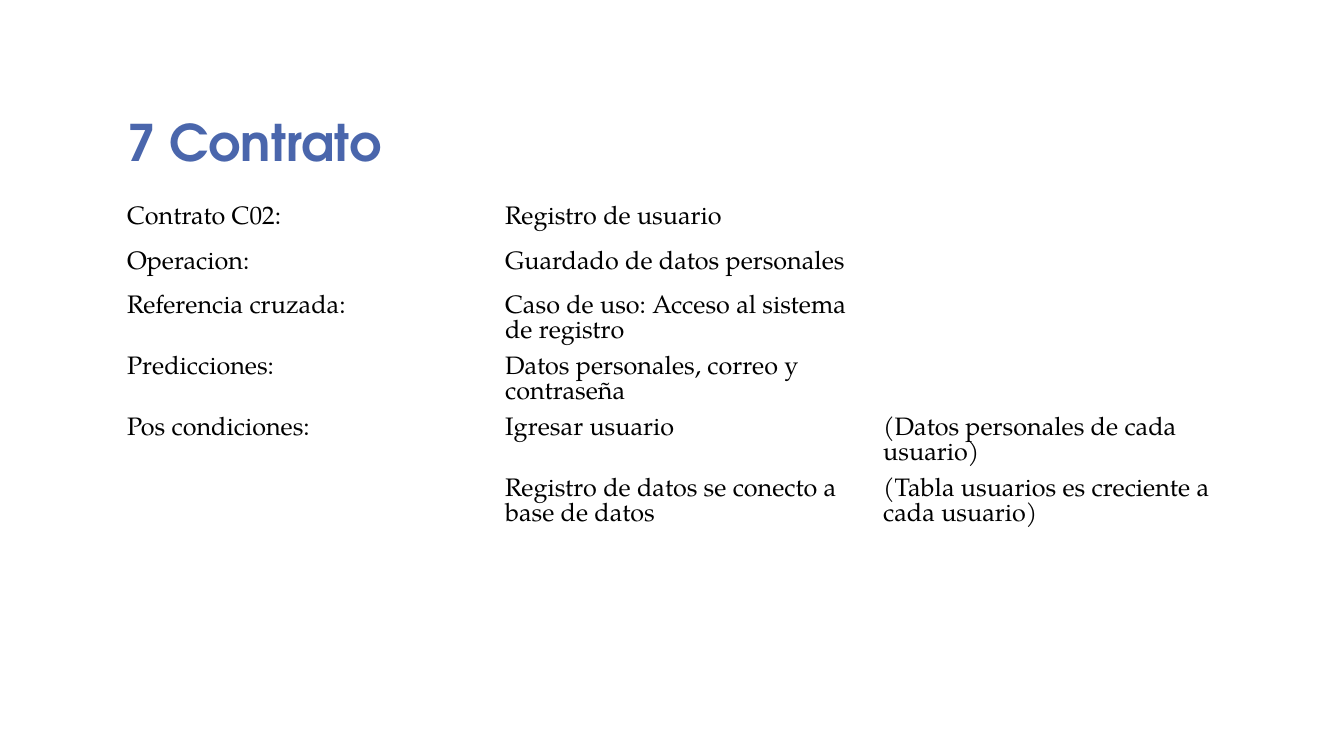
from pptx import Presentation
from pptx.dml.color import RGBColor
from pptx.enum.text import MSO_ANCHOR, PP_ALIGN
from pptx.util import Inches, Pt

TITLE = {"name": "TeX Gyre Adventor", "size": Pt(36), "bold": True}
BODY = {"name": "TeX Gyre Pagella", "size": Pt(18), "bold": False}
BLUE, BLACK, WHITE = "4A66AC", "000000", "FFFFFF"

TERMS = [
    ("Contrato C02:", "Registro de usuario", ""),
    ("Operacion:", "Guardado de datos personales", ""),
    ("Referencia cruzada:", "Caso de uso: Acceso al sistema de registro", ""),
    ("Predicciones:", "Datos personales, correo y contraseña", ""),
    ("Pos condiciones:", "Igresar usuario", "(Datos personales de cada usuario)"),
    ("", "Registro de datos se conecto a base de datos",
     "(Tabla usuarios es creciente a cada usuario)"),
]


def paint(target, color):
    """Set the colour of a font or a solid fill."""
    target.rgb = RGBColor.from_string(color)


class Page:
    """Hold the text style and the current slide."""

    def __init__(self, deck):
        """Add a title-only slide to the deck."""
        self.slide = deck.slides.add_slide(deck.slide_layouts[5])

    def style(self, para, form, color):
        """Apply the font format and colour to a paragraph."""
        for key, value in form.items():
            setattr(para.font, key, value)
        paint(para.font.color, color)
        para.alignment = PP_ALIGN.LEFT

    def title(self, text, left, top, width, height):
        """Place and format the title placeholder."""
        shape = self.slide.shapes.title
        box = {"left": left, "top": top, "width": width, "height": height}
        for key, value in box.items():
            setattr(shape, key, Inches(value))
        frame = shape.text_frame
        frame.text = text
        frame.vertical_anchor = MSO_ANCHOR.BOTTOM
        para = frame.paragraphs[0]
        para.line_spacing = 0.8
        self.style(para, TITLE, BLUE)

    def table(self, rows, left, top, width, heights):
        """Add a plain table with equal columns."""
        box = [Inches(v) for v in (left, top, width, sum(heights))]
        grid = self.slide.shapes.add_table(len(rows), len(rows[0]), *box).table
        grid.first_row = grid.horz_banding = False
        for row, height, texts in zip(grid.rows, heights, rows):
            row.height = Inches(height)
            for cell, text in zip(row.cells, texts):
                cell.text = text
                cell.fill.solid()
                paint(cell.fill.fore_color, WHITE)
                self.style(cell.text_frame.paragraphs[0], BODY, BLACK)


deck = Presentation()
deck.slide_width, deck.slide_height = Inches(13.33), Inches(7.5)
page = Page(deck)
page.title("7 Contrato", 1.16, 0.58, 9.5, 1.17)
page.table(TERMS, 1.16, 2, 11.25, [0.44] * 5 + [0.76])
deck.save("out.pptx")
